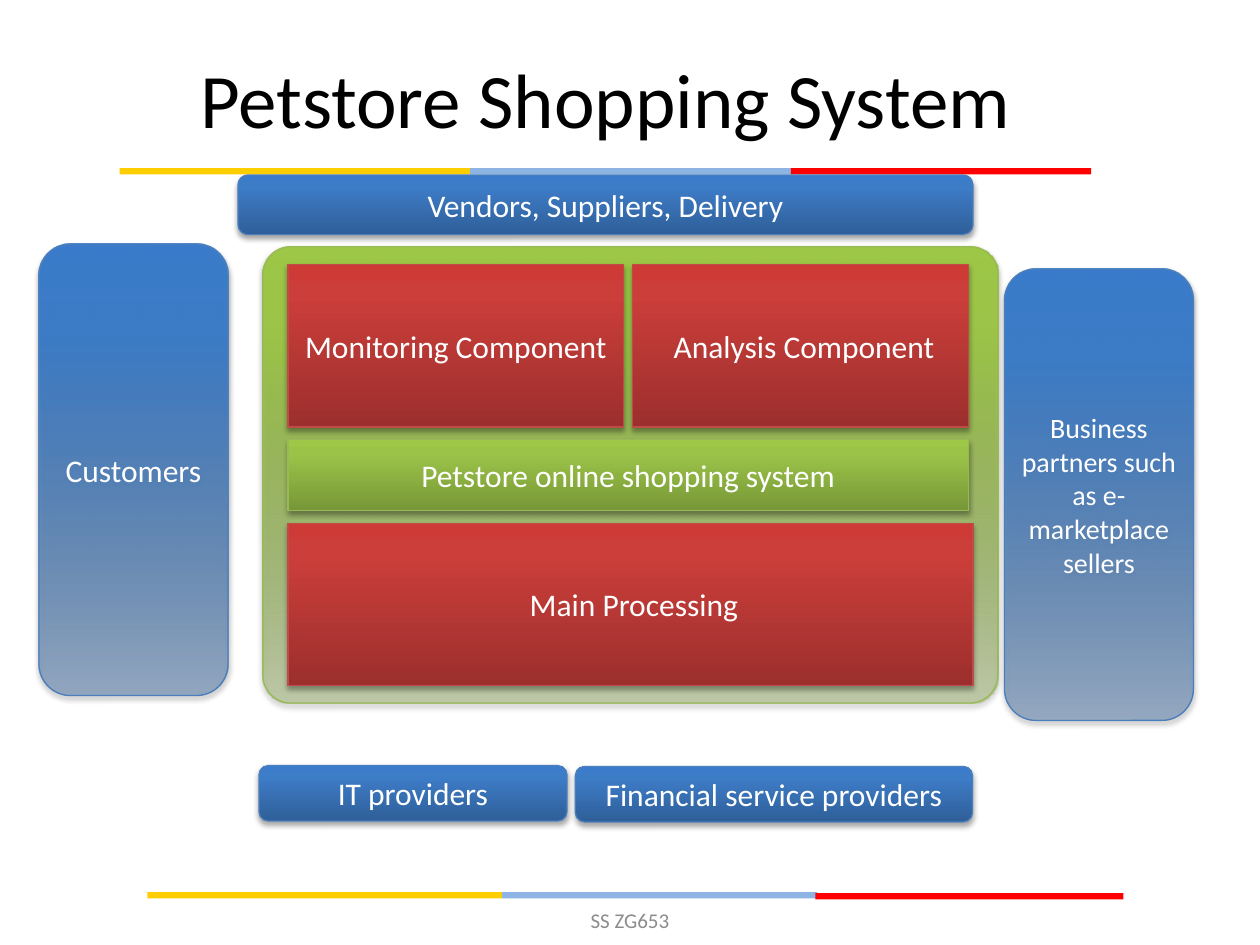
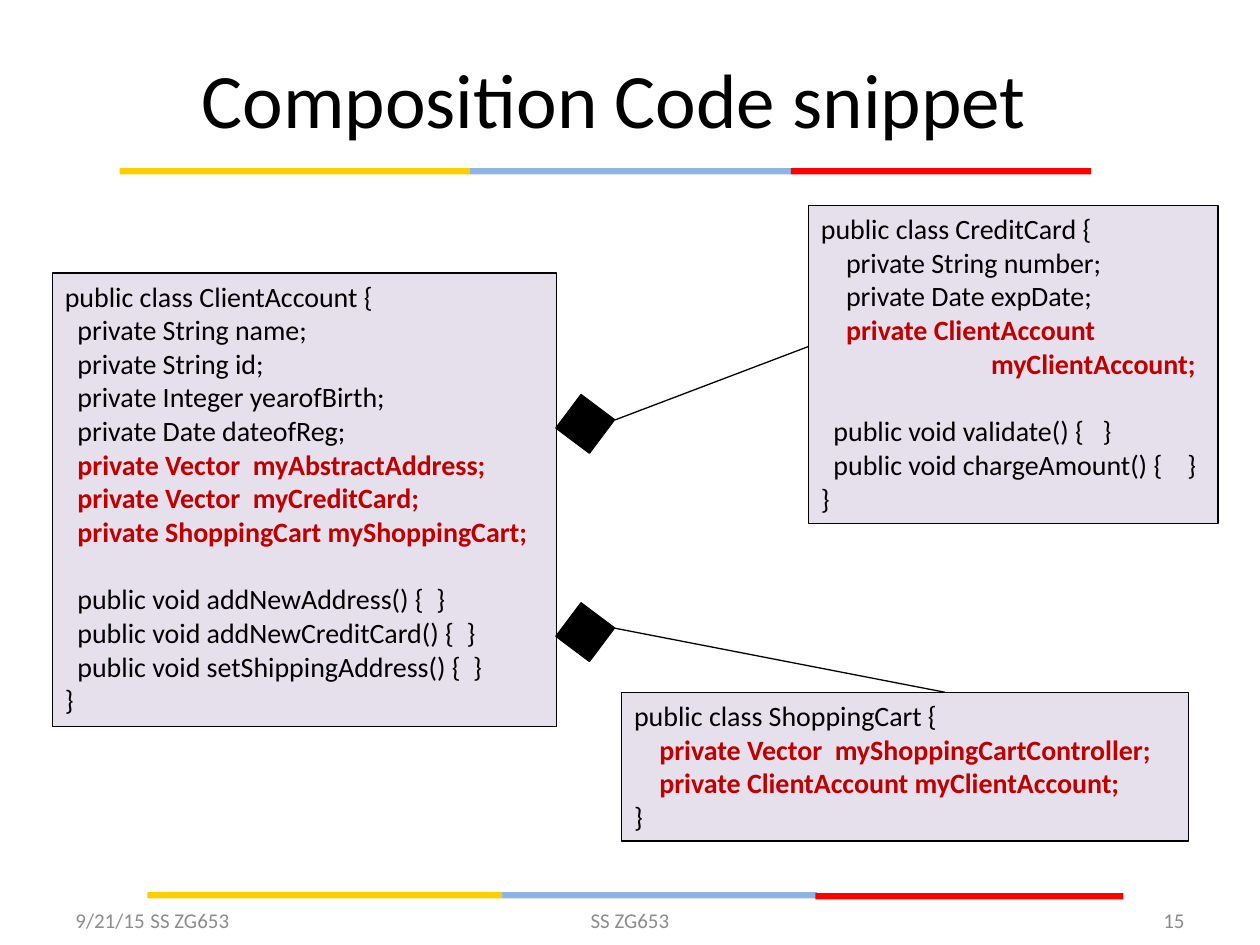
"""Build two lecture slides: a shopping system overview and its composition code."""
from dataclasses import dataclass
from typing import NamedTuple

from lxml.etree import SubElement
from pptx import Presentation
from pptx.dml.color import RGBColor
from pptx.enum.shapes import MSO_CONNECTOR, MSO_SHAPE
from pptx.enum.text import MSO_ANCHOR as ANCHOR, PP_ALIGN as ALIGN
from pptx.oxml.ns import qn
from pptx.util import Pt

FONT = "Calibri"
COLORS = {
    "black": "000000", "white": "FFFFFF", "grey": "8C8C8C",
    "yellow": "FFCE00", "sky": "8EB4E3", "red": "FF0000",
    "code_fill": "E6E0EC", "code_red": "C00000",
}
GRADIENTS = {
    "blue": ("2F5F99", "3D7CC7", "3A7CCB"),
    "green": ("779737", "9BC348", "9DC746"),
    "red": ("9C2F2D", "CB3E3A", "CE3B37"),
}
EDGES = {"blue": "4B7EBC", "green": "98B955", "red": "BF4C48"}
FOOTER = "SS ZG653"
FOOT_TOP, FOOT_H = 511.2, 28.8
CODE_LINE_H = 19.5


class Box(NamedTuple):
    left: float
    top: float
    width: float
    height: float


class Band(NamedTuple):
    color: str
    left: float
    right: float
    top: float


@dataclass
class Block:
    text: str
    box: Box
    hue: str
    size: int = 18
    rounding: float = 0.167
    opacity: int = 100


class CodeLine(NamedTuple):
    text: str
    red: bool = False
    gap: bool = False


@dataclass
class CodeBox:
    box: Box
    lines: list[CodeLine]


@dataclass
class Composition:
    diamond: Box
    start: tuple[float, float]
    end: tuple[float, float]


BANDS = [
    Band("yellow", 68.4, 268.6, 96), Band("sky", 268.6, 452, 96),
    Band("red", 452, 623.5, 96),
    Band("yellow", 84.2, 287, 509.8), Band("sky", 287, 467, 509.8),
    Band("red", 466, 642, 510.3),
]
BLOCKS = [
    Block("Customers", Box(22.3, 139.5, 108, 258), "blue", opacity=41),
    Block("Business partners such as e-marketplace sellers",
          Box(574, 153.7, 108, 258), "blue", 16, opacity=40),
    Block("Vendors, Suppliers, Delivery", Box(136, 100, 420, 34), "blue"),
    Block("IT providers", Box(148, 437.5, 176, 31.7), "blue"),
    Block("Financial service providers", Box(328.8, 438, 227, 31.7), "blue"),
    Block("", Box(150.2, 141, 420, 260.8), "green", rounding=0.061, opacity=33),
    Block("Monitoring Component", Box(164.5, 151, 192, 93), "red", rounding=0),
    Block(" Analysis Component", Box(361.4, 151, 192, 93), "red", rounding=0),
    Block("Petstore online shopping system", Box(164.5, 251.2, 389, 40.5),
          "green", rounding=0),
    Block(" Main Processing", Box(164.5, 299, 391.5, 92.7), "red", rounding=0),
]
CODE_BOXES = [
    CodeBox(Box(355.3, 395.6, 324, 85), [
        CodeLine("public class ShoppingCart {"),
        CodeLine("    private Vector  myShoppingCartController;", red=True),
        CodeLine("    private ClientAccount myClientAccount;", red=True),
        CodeLine("}"),
    ]),
    CodeBox(Box(462, 117.5, 234, 181.5), [
        CodeLine("public class CreditCard {"),
        CodeLine("    private String number;"),
        CodeLine("    private Date expDate;"),
        CodeLine("    private ClientAccount", red=True),
        CodeLine("                           myClientAccount;", red=True),
        CodeLine("  public void validate() {   }", gap=True),
        CodeLine("  public void chargeAmount() {    }"),
        CodeLine("}"),
    ]),
    CodeBox(Box(30, 156, 288, 259), [
        CodeLine("public class ClientAccount {"),
        CodeLine("  private String name;"),
        CodeLine("  private String id;"),
        CodeLine("  private Integer yearofBirth;"),
        CodeLine("  private Date dateofReg;"),
        CodeLine("  private Vector  myAbstractAddress;", red=True),
        CodeLine("  private Vector  myCreditCard;", red=True),
        CodeLine("  private ShoppingCart myShoppingCart;", red=True),
        CodeLine("  public void addNewAddress() {  }", gap=True),
        CodeLine("  public void addNewCreditCard() {  }"),
        CodeLine("  public void setShippingAddress() {  }"),
        CodeLine("}"),
    ]),
]
COMPOSITIONS = [
    Composition(Box(322.4, 230.2, 24, 24), (351.4, 240), (462, 198)),
    Composition(Box(322.4, 349.2, 24, 24), (351.4, 359), (540, 395.6)),
]


def rgb(name: str) -> RGBColor:
    """Look up a named colour."""
    return RGBColor.from_string(COLORS[name])


def add_run(p, text: str, size: float, color: str, bold: bool = False) -> None:
    """Add one styled run."""
    r = p.add_run()
    r.text = text
    r.font.name, r.font.size, r.font.bold = FONT, Pt(size), bold
    r.font.color.rgb = rgb(color)


def add_text(s, text: str, box: Box, size: float, color: str, align=ALIGN.CENTER) -> None:
    """Add a one-paragraph text box centred vertically."""
    tf = s.shapes.add_textbox(*map(Pt, box)).text_frame
    tf.word_wrap, tf.vertical_anchor = True, ANCHOR.MIDDLE
    p = tf.paragraphs[0]
    p.alignment = align
    add_run(p, text, size, color)


def add_rect(s, box: Box, fill: str, line: str | None = None, kind=MSO_SHAPE.RECTANGLE):
    """Add a flat shape with an optional thin outline."""
    sp = s.shapes.add_shape(kind, *map(Pt, box))
    sp.shadow.inherit = False
    sp.fill.solid()
    sp.fill.fore_color.rgb = rgb(fill)
    if line:
        sp.line.color.rgb = rgb(line)
        sp.line.width = Pt(0.75)
    else:
        sp.line.fill.background()
    return sp


def add_color(parent, value: str, opacity: int = 100) -> None:
    """Append a colour element with its opacity."""
    clr = SubElement(parent, qn("a:srgbClr"), val=value)
    if opacity < 100:
        SubElement(clr, qn("a:alpha"), val=str(opacity * 1000))


def add_gloss(sp, hue: str, opacity: int) -> None:
    """Give a shape an upward gradient and a soft shadow below."""
    sp_pr = sp._element.spPr
    solid = sp_pr.find(qn("a:solidFill"))
    grad = SubElement(sp_pr, qn("a:gradFill"), rotWithShape="1")
    stops = SubElement(grad, qn("a:gsLst"))
    for pos, value, alpha in zip((0, 80, 100), GRADIENTS[hue], (opacity, 100, 100)):
        add_color(SubElement(stops, qn("a:gs"), pos=str(pos * 1000)), value, alpha)
    SubElement(grad, qn("a:lin"), ang="16200000", scaled="0")
    sp_pr.replace(solid, grad)
    shadow = SubElement(sp_pr.find(qn("a:effectLst")), qn("a:outerShdw"),
                        blurRad=str(Pt(3.1)), dist=str(Pt(1.8)),
                        dir="5400000", rotWithShape="0")
    add_color(shadow, COLORS["black"], 35)


def add_block(s, block: Block) -> None:
    """Draw one glossy labelled block."""
    kind = MSO_SHAPE.ROUNDED_RECTANGLE if block.rounding else MSO_SHAPE.RECTANGLE
    sp = add_rect(s, block.box, "white", "black", kind)
    sp.line.color.rgb = RGBColor.from_string(EDGES[block.hue])
    if block.rounding:
        sp.adjustments[0] = block.rounding
    add_gloss(sp, block.hue, block.opacity)
    if block.text:
        tf = sp.text_frame
        tf.word_wrap, tf.vertical_anchor = True, ANCHOR.MIDDLE
        side, end = (4.5, 3.5) if block.rounding else (1.5, 0.75)
        tf.margin_left = tf.margin_right = Pt(side)
        tf.margin_top = tf.margin_bottom = Pt(end)
        p = tf.paragraphs[0]
        p.alignment = ALIGN.CENTER
        add_run(p, block.text, block.size, "white")


def add_code(s, code: CodeBox) -> None:
    """Draw one class listing."""
    tf = add_rect(s, code.box, "code_fill", "black").text_frame
    tf.word_wrap, tf.vertical_anchor = True, ANCHOR.TOP
    for i, line in enumerate(code.lines):
        p = tf.add_paragraph() if i else tf.paragraphs[0]
        p.alignment = ALIGN.LEFT
        if line.gap:
            p.space_before = Pt(CODE_LINE_H)
        add_run(p, line.text, 16, "code_red" if line.red else "black", line.red)


def add_composition(s, link: Composition) -> None:
    """Draw a composition diamond and its line."""
    add_rect(s, link.diamond, "black", "black").rotation = 36.9
    line = s.shapes.add_connector(MSO_CONNECTOR.STRAIGHT, *map(Pt, link.start + link.end))
    line.line.color.rgb = rgb("black")
    line.line.width = Pt(0.75)
    SubElement(line._element.spPr, qn("a:effectLst"))


def add_slide(prs, title: str):
    """Add a slide with the shared bands, footer and title."""
    s = prs.slides.add_slide(prs.slide_layouts[6])
    for band in BANDS:
        add_rect(s, Box(band.left, band.top, band.right - band.left, 3.6), band.color)
    add_text(s, FOOTER, Box(246, FOOT_TOP, 228, FOOT_H), 12, "grey")
    add_text(s, title, Box(27, 16, 648, 80), 44, "black")
    return s


def main() -> None:
    """Build and save the slides."""
    prs = Presentation()
    prs.slide_width, prs.slide_height = Pt(720), Pt(540)

    s = add_slide(prs, "Petstore Shopping System ")
    for block in BLOCKS:
        add_block(s, block)

    s = add_slide(prs, "Composition Code snippet")
    add_text(s, "9/21/15", Box(36, FOOT_TOP, 168, FOOT_H), 12, "grey", ALIGN.LEFT)
    add_text(s, "15", Box(516, FOOT_TOP, 168, FOOT_H), 12, "grey", ALIGN.RIGHT)
    add_text(s, FOOTER, Box(0, FOOT_TOP, 217, FOOT_H), 12, "grey")
    for code in CODE_BOXES:
        add_code(s, code)
    for link in COMPOSITIONS:
        add_composition(s, link)

    prs.save("out.pptx")


if __name__ == "__main__":
    main()
